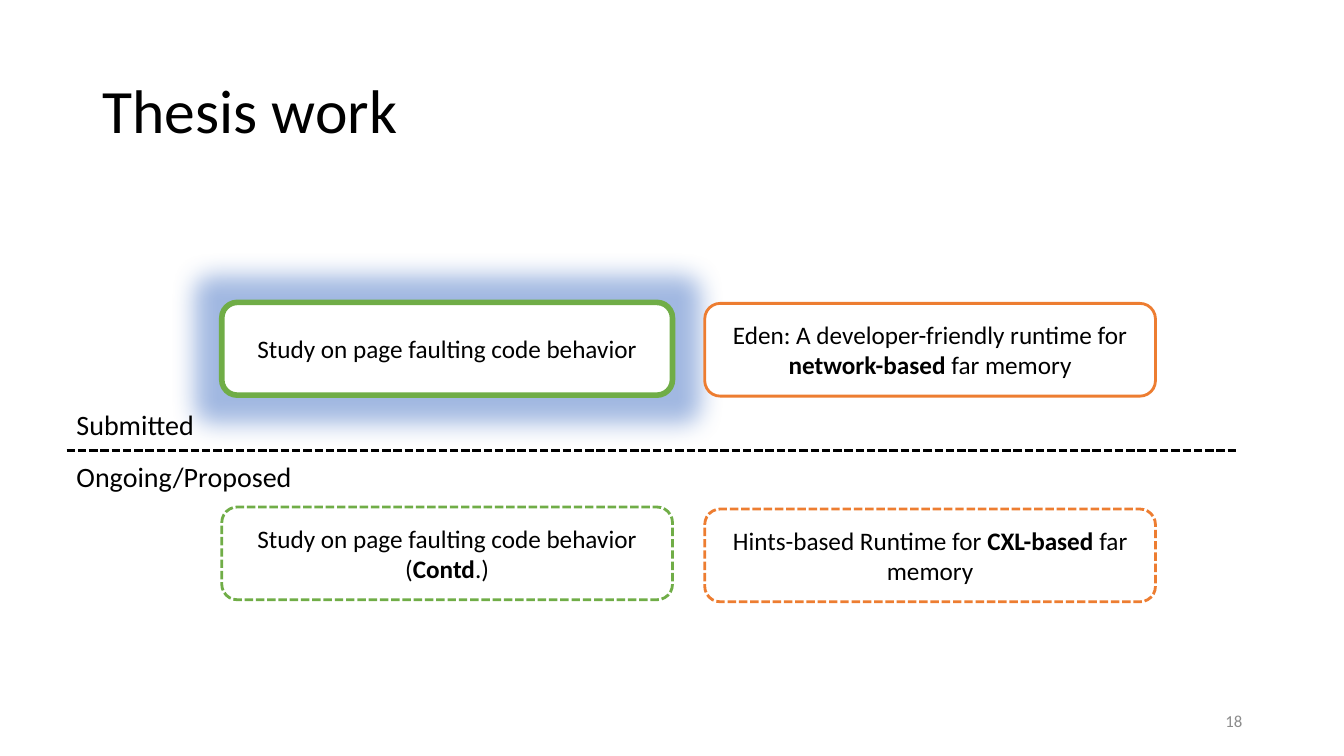
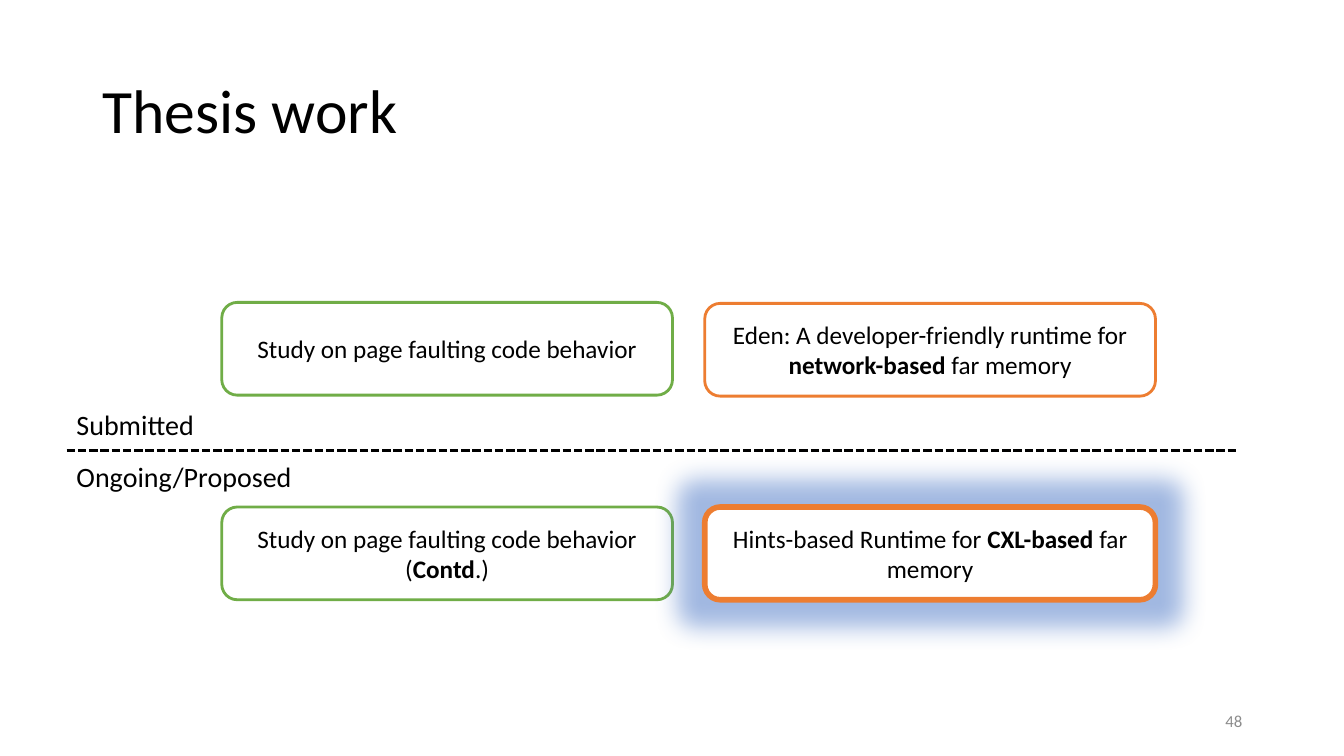
from lxml import etree
from pptx import Presentation
from pptx.dml.color import RGBColor
from pptx.enum.dml import MSO_LINE
from pptx.enum.shapes import MSO_CONNECTOR, MSO_SHAPE
from pptx.enum.text import MSO_ANCHOR, MSO_AUTO_SIZE, PP_ALIGN
from pptx.oxml.ns import qn
from pptx.util import Inches, Pt

ROUNDED, STRAIGHT = MSO_SHAPE.ROUNDED_RECTANGLE, MSO_CONNECTOR.STRAIGHT
DASH = MSO_LINE.SQUARE_DOT
TOP, MIDDLE = MSO_ANCHOR.TOP, MSO_ANCHOR.MIDDLE
LEFT, CENTER, RIGHT = PP_ALIGN.LEFT, PP_ALIGN.CENTER, PP_ALIGN.RIGHT
GROW, FIXED = MSO_AUTO_SIZE.SHAPE_TO_FIT_TEXT, MSO_AUTO_SIZE.NONE

# Shared look
FONT = "Calibri"
BLACK, WHITE, GRAY = "000000", "FFFFFF", "8C8C8C"
GREEN, ORANGE, GLOW = "70AD47", "ED7D31", "4472C4"
GLOW_RADIUS, GLOW_ALPHA = Inches(0.5), 50000
CARD_WIDTH, CARD_HEIGHT = 4.47, 0.92
GREEN_LEFT, ORANGE_LEFT = 2.2, 6.99
MARGIN = 0.66

TITLE = {"size": 44, "anchor": MIDDLE, "spacing": 0.9}
LABEL = {"size": 20, "fit": GROW}
NUMBER = {"size": 12, "color": GRAY, "align": RIGHT, "anchor": MIDDLE}
CARD = {"size": 18, "align": CENTER, "anchor": MIDDLE}

# Card wording as (text, bold) spans
STUDY = [("Study on page faulting code behavior", False)]
EDEN = [("Eden: A developer-friendly runtime for ", False),
        ("network-based", True), (" far memory", False)]
STUDY_CONTD = [("Study on page faulting code behavior (", False),
               ("Contd", True), (".)", False)]
HINTS = [("Hints-based Runtime for", False), (" CXL-based ", True),
         ("far memory", False)]


def rgb(color):
    return RGBColor.from_string(color)


def write(box, spans, size, color=BLACK, align=LEFT, anchor=TOP,
          spacing=None, fit=FIXED):
    frame = box.text_frame
    frame_format = {"word_wrap": True, "auto_size": fit, "vertical_anchor": anchor}
    for name, value in frame_format.items():
        setattr(frame, name, value)
    para = frame.paragraphs[0]
    para.alignment = align
    para.line_spacing = spacing
    for text, bold in spans:
        span = para.add_run()
        span.text = text
        font_format = {"name": FONT, "size": Pt(size), "bold": bold}
        for name, value in font_format.items():
            setattr(span.font, name, value)
        span.font.color.rgb = rgb(color)


def add_text(page, place, text, style):
    box = page.shapes.add_textbox(*map(Inches, place))
    write(box, [(text, False)], **style)


def set_line(line, color, width, dash=None):
    line.color.rgb = rgb(color)
    line.width = Pt(width)
    line.dash_style = dash


def add_glow(shape):
    effects = shape._element.spPr.find(qn("a:effectLst"))
    glow = etree.SubElement(effects, qn("a:glow"), rad=str(GLOW_RADIUS))
    color = etree.SubElement(glow, qn("a:srgbClr"), val=GLOW)
    etree.SubElement(color, qn("a:alpha"), val=str(GLOW_ALPHA))


def add_card(page, left, top, spans, color, dash=None, focus=False):
    card = page.shapes.add_shape(
        ROUNDED, *map(Inches, (left, top, CARD_WIDTH, CARD_HEIGHT)))
    card.shadow.inherit = False
    card.fill.solid()
    card.fill.fore_color.rgb = rgb(WHITE)
    set_line(card.line, color, 4 if focus else 2, dash)
    if focus:
        add_glow(card)
    write(card, spans, **CARD)


def add_divider(page, top):
    divider = page.shapes.add_connector(
        STRAIGHT, *map(Inches, (MARGIN, top, 12.26, top)))
    set_line(divider.line, BLACK, 2, DASH)
    etree.SubElement(divider._element.spPr, qn("a:effectLst"))


def add_thesis_page(deck, number, focus, hints_top, ongoing_dash=None):
    page = deck.slides.add_slide(deck.slide_layouts[6])
    add_text(page, (0.92, 0.4, 11.5, 1.45), "Thesis work", TITLE)

    # Submitted work above the divider, ongoing work below
    cards = [
        (GREEN_LEFT, 3, STUDY, GREEN, None),
        (ORANGE_LEFT, 3.01, EDEN, ORANGE, None),
        (GREEN_LEFT, 5.03, STUDY_CONTD, GREEN, ongoing_dash),
        (ORANGE_LEFT, hints_top, HINTS, ORANGE, ongoing_dash),
    ]
    for left, top, spans, color, dash in cards:
        add_card(page, left, top, spans, color, dash, spans is focus)

    add_text(page, (MARGIN, 3.99, 1.87, 0.44), "Submitted", LABEL)
    add_divider(page, 4.47)
    add_text(page, (MARGIN, 4.51, 2.69, 0.44), "Ongoing/Proposed", LABEL)
    add_text(page, (9.42, 6.95, 3, 0.4), number, NUMBER)


def main():
    deck = Presentation()
    deck.slide_width, deck.slide_height = Inches(13.33), Inches(7.5)
    add_thesis_page(deck, "18", STUDY, 5.05, DASH)
    add_thesis_page(deck, "48", HINTS, 5.03)
    deck.save("out.pptx")


if __name__ == "__main__":
    main()
